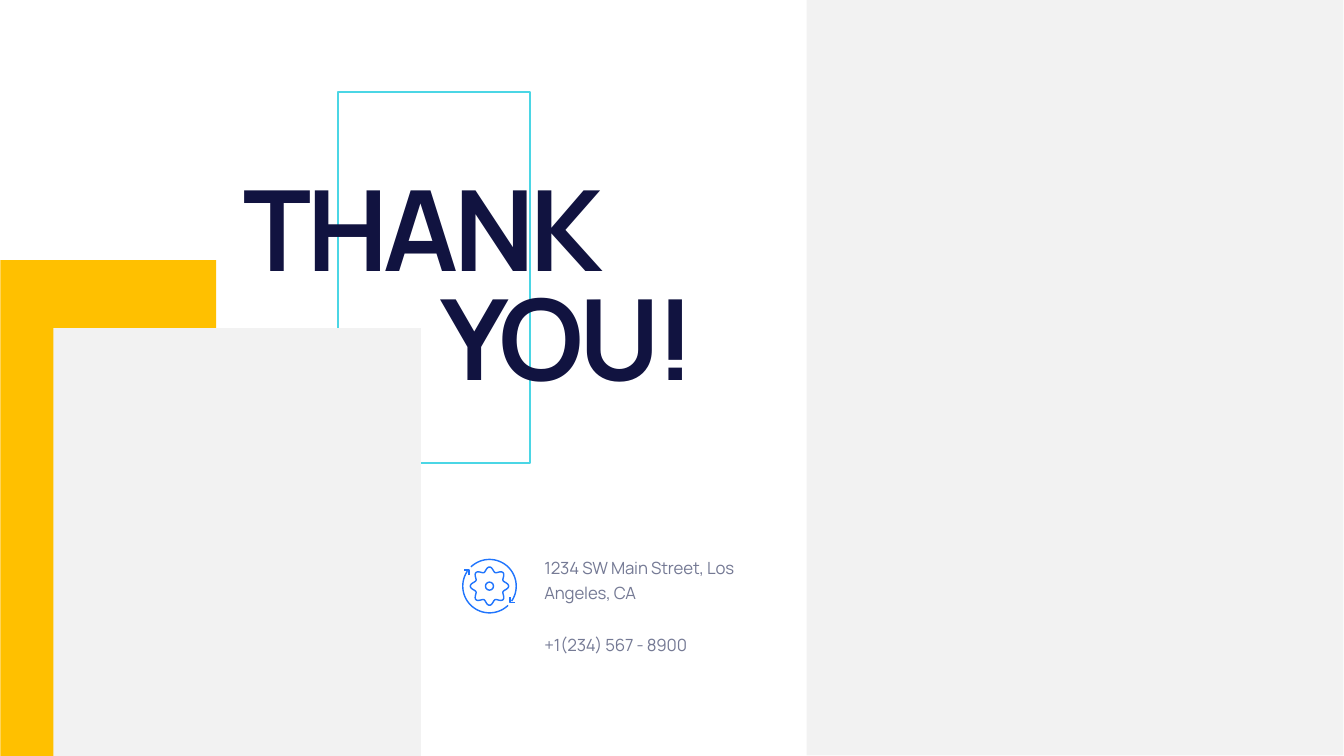
"""Build the closing thank-you slide with its contact details."""
import math
from dataclasses import dataclass

import pptx
import pptx.dml.color
import pptx.enum.shapes
import pptx.enum.text
import pptx.util

PX = 9144
FONT = "Manrope"
COLORS = {
    "navy": "111340",
    "gray": "747994",
    "panel": "F2F2F2",
    "yellow": "FFC000",
    "cyan": "4BD6E5",
    "blue": "2075FD",
}
ICON_X, ICON_Y = 971, 1163


@dataclass
class Box:
    left: int
    top: int
    width: int
    height: int

    def emu(self) -> list[int]:
        return [length * PX for length in (self.left, self.top, self.width, self.height)]


@dataclass
class Panel:
    box: Box
    color: str
    outlined: bool = False


@dataclass
class Label:
    text: str
    box: Box
    size: int
    color: str
    spacing: int
    bold: bool = False
    leading: int | None = None


PANELS = [
    Panel(Box(671, 182, 380, 737), "cyan", True),
    Panel(Box(1600, 0, 1065, 1499), "panel"),
    Panel(Box(1, 516, 428, 984), "yellow"),
    Panel(Box(106, 651, 729, 849), "panel"),
]
HEADING = Label("THANK", Box(473, 305, 804, 288), 160, "navy", -600, True)
LABELS = [
    Label("YOU!", Box(863, 522, 662, 288), 160, "navy", -600, True),
    Label("1234 SW Main Street, Los Angeles, CA", Box(1070, 1092, 481, 109), 24, "gray", -20, leading=36),
    Label("+1(234) 567 - 8900", Box(1070, 1244, 481, 58), 24, "gray", -20, leading=36),
]


def rgb(name: str) -> pptx.dml.color.RGBColor:
    return pptx.dml.color.RGBColor.from_string(COLORS[name])


def style_outline(shape, color: str, width: float) -> None:
    shape.shadow.inherit = False
    shape.fill.background()
    shape.line.color.rgb = rgb(color)
    shape.line.width = pptx.util.Pt(width)


def draw_panel(slide, panel: Panel) -> None:
    shape = slide.shapes.add_shape(pptx.enum.shapes.MSO_SHAPE.RECTANGLE, *panel.box.emu())
    if panel.outlined:
        style_outline(shape, panel.color, 3)
        return
    shape.shadow.inherit = False
    shape.fill.solid()
    shape.fill.fore_color.rgb = rgb(panel.color)
    shape.line.fill.background()


def draw_curve(slide, points: list[tuple[float, float]], closed: bool = False) -> None:
    scaled = [(x * PX, y * PX) for x, y in points]
    builder = slide.shapes.build_freeform(*scaled[0], scale=1.0)
    builder.add_line_segments(scaled[1:], close=closed)
    style_outline(builder.convert_to_shape(), "blue", 2)


def polar(radius: float, degrees: float) -> tuple[float, float]:
    angle = math.radians(degrees)
    return ICON_X + radius * math.cos(angle), ICON_Y + radius * math.sin(angle)


def draw_gear_icon(slide) -> None:
    for turn, side in ((0, 1), (180, -1)):
        draw_curve(slide, [polar(53, turn + degrees) for degrees in range(-134, 35, 2)])
        arrow = [(41, 22), (41, 32), (51, 32)]
        draw_curve(slide, [(ICON_X + side * x, ICON_Y + side * y) for x, y in arrow])
    teeth = [polar(33.5 + 4.5 * math.cos(math.radians(8 * degrees)), degrees) for degrees in range(0, 360, 3)]
    draw_curve(slide, teeth, closed=True)
    hub = slide.shapes.add_shape(
        pptx.enum.shapes.MSO_SHAPE.OVAL, *Box(ICON_X - 8, ICON_Y - 8, 16, 16).emu()
    )
    style_outline(hub, "blue", 2)


def write_label(shape, label: Label) -> None:
    shape.left, shape.top, shape.width, shape.height = label.box.emu()
    frame = shape.text_frame
    frame.text = label.text
    frame.word_wrap = True
    frame.auto_size = pptx.enum.text.MSO_AUTO_SIZE.SHAPE_TO_FIT_TEXT
    anchor = pptx.enum.text.MSO_ANCHOR
    frame.vertical_anchor = anchor.TOP if label.leading else anchor.MIDDLE
    paragraph = frame.paragraphs[0]
    paragraph.alignment = pptx.enum.text.PP_ALIGN.LEFT
    if label.leading:
        paragraph.line_spacing = pptx.util.Pt(label.leading)
    run = paragraph.runs[0]
    run.font.name = FONT
    run.font.size = pptx.util.Pt(label.size)
    run.font.bold = label.bold
    run.font.color.rgb = rgb(label.color)
    run.font._element.set("spc", str(label.spacing))


def main() -> None:
    presentation = pptx.Presentation()
    presentation.slide_width = 2666 * PX
    presentation.slide_height = 1500 * PX
    slide = presentation.slides.add_slide(presentation.slide_layouts[5])
    for panel in PANELS:
        draw_panel(slide, panel)
    draw_gear_icon(slide)
    title = slide.shapes.title
    title.element.getparent().append(title.element)
    write_label(title, HEADING)
    for label in LABELS:
        write_label(slide.shapes.add_textbox(*label.box.emu()), label)
    presentation.save("out.pptx")


if __name__ == "__main__":
    main()
